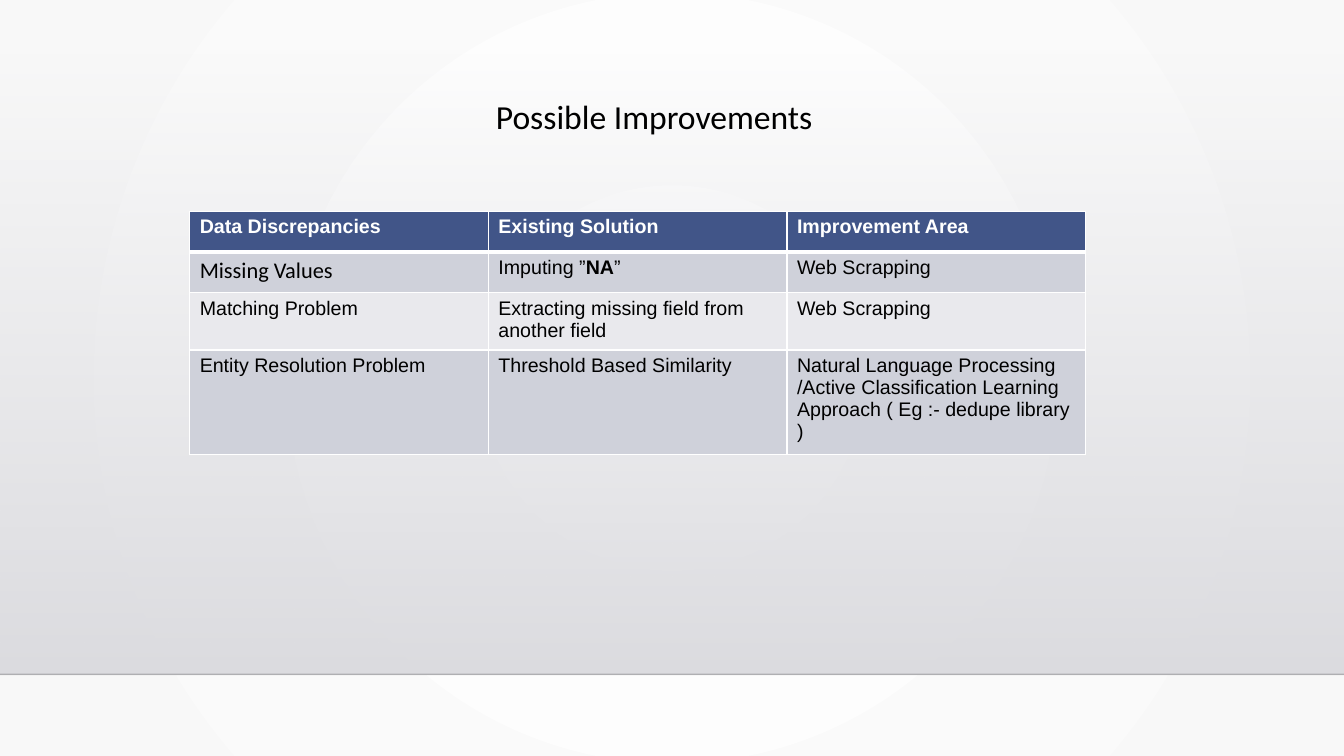
from pptx import Presentation
from pptx.dml.color import RGBColor
from pptx.enum import shapes, text
from pptx.oxml import parse_xml
from pptx.oxml import ns
from pptx.util import Pt

COLOURS = {
    "white": "FFFFFF", "edge": "F8F8F8", "wall_top": "DCDCE0",
    "wall_bottom": "DDDDE1", "rule": "000001", "ink": "000000",
    "header": "415588", "band_dark": "CFD1DA", "band_light": "E9E9ED",
}
WIDTH, HEIGHT = 960, 540
BODY = {"name": "Arial", "size": Pt(14), "bold": False}
HEADING = {**BODY, "bold": True}
LEAD = {"name": "Calibri", "size": Pt(16), "bold": False}
TITLE = {"name": "Calibri", "size": Pt(24), "bold": False}

# Each cell is a list of paragraphs; each paragraph is a list of (words, format).
ROWS = [
    [[[(heading, HEADING)]] for heading in
     ("Data Discrepancies", "Existing Solution", "Improvement Area")],
    [[[("Missing Values", LEAD)]],
     [[("Imputing ”", BODY), ("NA", HEADING), ("”", BODY)]],
     [[("Web Scrapping", BODY)]]],
    [[[("Matching Problem", BODY)]],
     [[("Extracting missing field from another field", BODY)]],
     [[("Web Scrapping", BODY)]]],
    [[[("Entity Resolution Problem", BODY)]],
     [[("Threshold Based Similarity", BODY)]],
     [[("Natural Language Processing", BODY)],
      [("/Active Classification Learning Approach ( Eg :- dedupe library )", BODY)]]],
]


def rgb(name):
    return RGBColor.from_string(COLOURS[name])


def element(tag, inner="", attributes=""):
    """Make a DrawingML element."""
    return parse_xml(f'<a:{tag} {ns.nsdecls("a")} {attributes}>{inner}</a:{tag}>')


def set_gradient(owner, stops, direction):
    """Swap the owner's solid fill for a gradient of (position, colour, opacity)."""
    marks = "".join(
        f'<a:gs pos="{position * 1000}"><a:srgbClr val="{COLOURS[colour]}">'
        f'<a:alpha val="{opacity * 1000}"/></a:srgbClr></a:gs>'
        for position, colour, opacity in stops)
    solid = owner.find(ns.qn("a:solidFill"))
    owner.replace(solid, element("gradFill", f"<a:gsLst>{marks}</a:gsLst>{direction}",
                                 'rotWithShape="1"'))


def write(frame, paragraphs, colour, alignment=None):
    for index, spans in enumerate(paragraphs):
        para = frame.paragraphs[0] if index == 0 else frame.add_paragraph()
        para.alignment = alignment
        for words, look in spans:
            span = para.add_run()
            span.text = words
            span.font.color.rgb = rgb(colour)
            for key, value in look.items():
                setattr(span.font, key, value)


def draw_backdrop(page, wall_top, floor):
    """Radial page fill, a wall fading in downwards and the floor line."""
    fill = page.background.fill
    fill.solid()
    fill.fore_color.rgb = rgb("white")
    set_gradient(
        page.element.find(".//" + ns.qn("p:bgPr")),
        [(0, "white", 100), (100, "edge", 100)],
        '<a:path path="circle"><a:fillToRect l="50000" t="50000" r="50000" b="50000"/></a:path>')

    wall = page.shapes.add_shape(shapes.MSO_SHAPE.RECTANGLE, 0, Pt(wall_top),
                                 Pt(WIDTH), Pt(floor - wall_top))
    wall.shadow.inherit = False
    wall.line.fill.background()
    wall.fill.solid()
    set_gradient(wall.element.spPr,
                 [(0, "wall_top", 0), (100, "wall_bottom", 100)],
                 '<a:lin ang="5400000" scaled="0"/>')

    rule = page.shapes.add_connector(shapes.MSO_CONNECTOR.STRAIGHT,
                                     0, Pt(floor), Pt(WIDTH), Pt(floor))
    rule.line.width = Pt(1)
    rule.line.color.rgb = rgb("rule")
    paint = rule.element.spPr.find(".//" + ns.qn("a:srgbClr"))
    paint.append(element("alpha", attributes='val="20000"'))
    rule.element.spPr.append(element("effectLst"))


def draw_title(page, left, top, width, height):
    box = page.shapes.add_textbox(Pt(left), Pt(top), Pt(width), Pt(height))
    frame = box.text_frame
    frame.word_wrap = True
    frame.vertical_anchor = text.MSO_ANCHOR.TOP
    write(frame, [[("Possible Improvements", TITLE)]], "ink", text.PP_ALIGN.CENTER)
    frame.paragraphs[0].line_spacing = 0.9


def set_borders(cell, widths):
    paint = f'<a:solidFill><a:srgbClr val="{COLOURS["white"]}"/></a:solidFill>'
    for side, width in widths.items():
        cell._tc.get_or_add_tcPr().append(
            element(f"ln{side}", paint, f'w="{Pt(width)}"'))


def draw_table(page, left, top, width, row_height):
    count = len(ROWS[0])
    table = page.shapes.add_table(len(ROWS), count, Pt(left), Pt(top),
                                  Pt(width), Pt(row_height * len(ROWS))).table
    table.horz_banding = False
    for column in table.columns:
        column.width = Pt(width / count)
    for row, cells in enumerate(ROWS):
        band = "header" if row == 0 else ("band_light", "band_dark")[row % 2]
        for column, paragraphs in enumerate(cells):
            cell = table.cell(row, column)
            set_borders(cell, {"L": 1, "R": 1, "T": 3 if row == 1 else 1,
                               "B": 3 if row == 0 else 1})
            cell.fill.solid()
            cell.fill.fore_color.rgb = rgb(band)
            write(cell.text_frame, paragraphs, "white" if row == 0 else "ink")


def main():
    deck = Presentation()
    deck.slide_width, deck.slide_height = Pt(WIDTH), Pt(HEIGHT)
    page = deck.slides.add_slide(deck.slide_layouts[6])
    draw_backdrop(page, wall_top=36.7, floor=481.7)
    draw_title(page, 89.3, 68.4, 756, 82.8)
    draw_table(page, 135.5, 150.8, 640, 29.2)
    deck.save("out.pptx")


if __name__ == "__main__":
    main()
